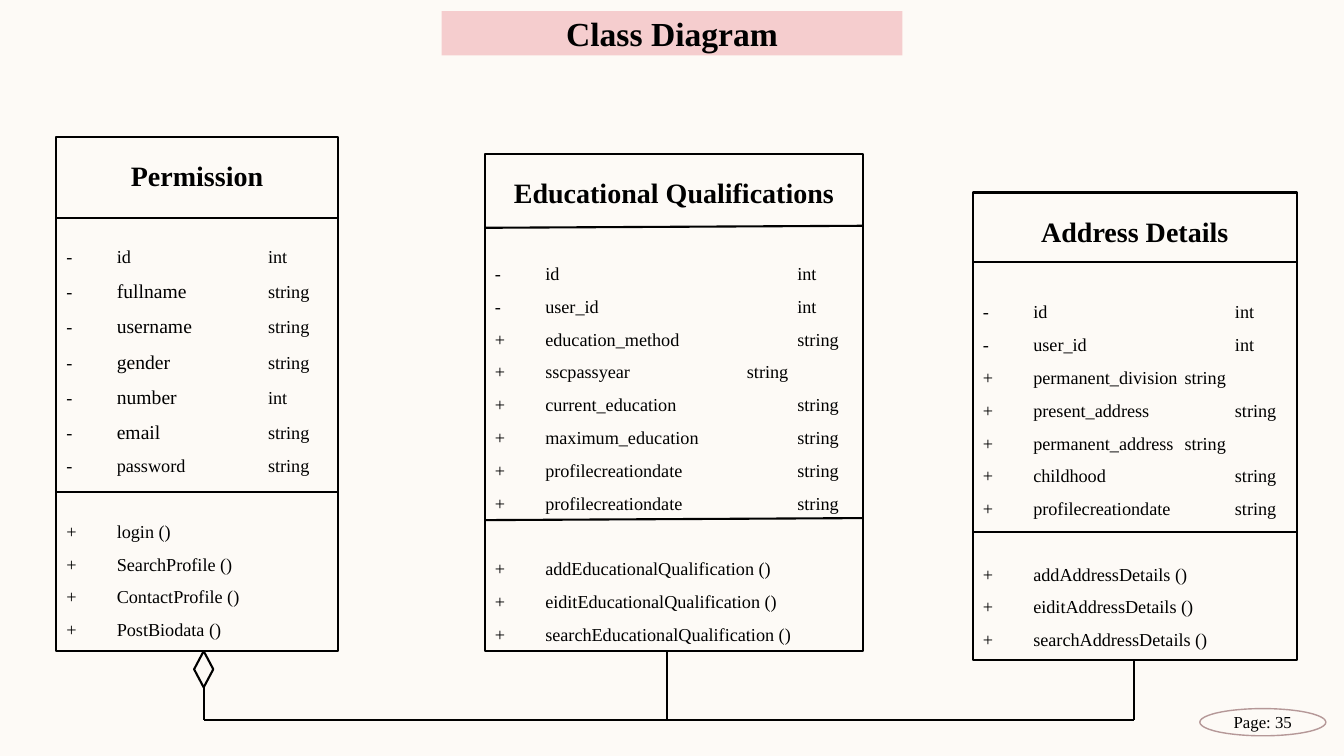
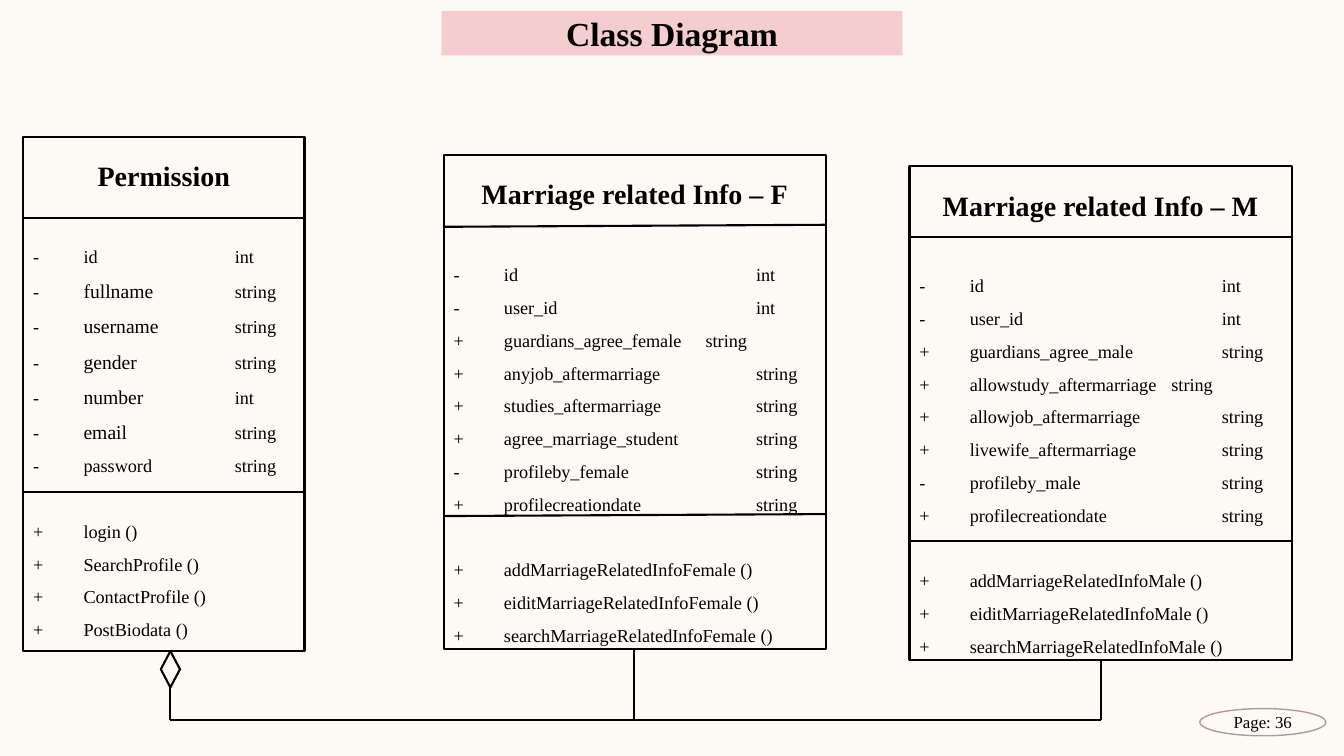
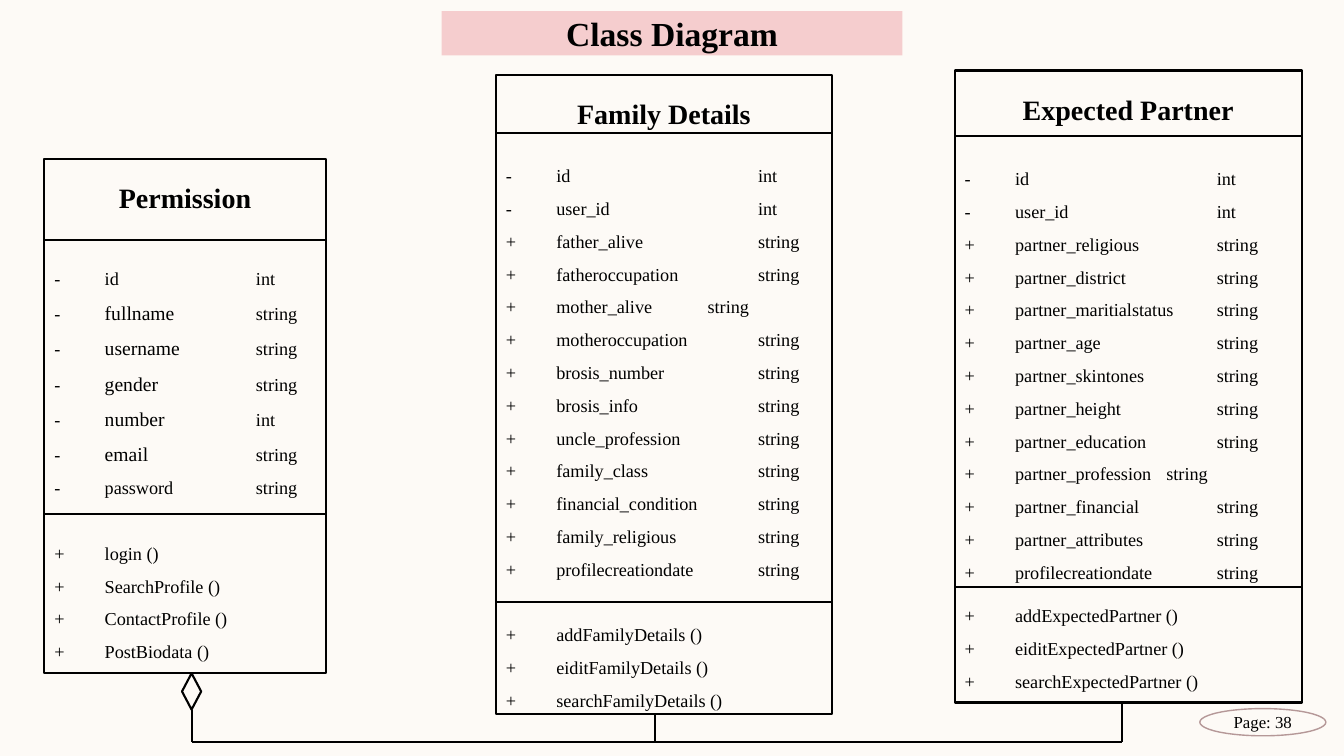
from dataclasses import dataclass

from lxml import etree
from pptx import Presentation
from pptx.dml.color import RGBColor
from pptx.enum.shapes import MSO_CONNECTOR as Connector, MSO_SHAPE as Preset
from pptx.enum.text import MSO_ANCHOR as Anchor, PP_ALIGN as Align
from pptx.oxml.ns import qn
from pptx.util import Inches, Pt


@dataclass(frozen=True)
class Theme:
    font: str = "Times New Roman"
    background: RGBColor = RGBColor(0xFD, 0xFA, 0xF6)
    band: RGBColor = RGBColor(0xF5, 0xCD, 0xCE)
    badge: RGBColor = RGBColor(0xB5, 0x98, 0x98)
    ink: RGBColor = RGBColor(0, 0, 0)
    title_size: int = 24
    heading_size: int = 20
    large_size: int = 14
    row_size: int = 13
    badge_size: int = 12
    leading: float = 1.8
    stroke: float = 1.5


THEME = Theme()
MARKER_TAB = 0.5
EARLY_SHIFT = 0.5
TRUNK_OFFSET = 1.46
BUS_DROP = 0.68
BRANCH_OFFSETS = (4.6, 9.23)
DIAMOND_WIDTH, DIAMOND_HEIGHT = 0.19, 0.36


@dataclass(frozen=True)
class ClassBox:
    name: str
    left: float
    top: float
    width: float
    height: float
    dividers: tuple
    type_tab: float
    fields: tuple
    methods: tuple
    early: tuple = ()
    large: tuple = ()
    slant: float = 0
    heading_gap: float = 30
    method_gap: float = 23.4

    @property
    def bottom(self):
        return self.top + self.height


def crud_methods(entity):
    return tuple(f"{verb}{entity}" for verb in ("add", "eidit", "search"))


def strings(*names):
    return tuple(f"+ {name} string" for name in names)


KEYS = ("- id int", "- user_id int")


def permission(left, top):
    return ClassBox(
        "Permission", left, top, 2.79, 5.1, (0.8, 3.52), 2,
        ("- id int", "- fullname string", "- username string", "- gender string",
         "- number int", "- email string", "- password string"),
        ("login", "SearchProfile", "ContactProfile", "PostBiodata"),
        large=("fullname", "username", "gender", "number", "email"))


EDUCATION = ClassBox(
    "Educational Qualifications", 4.81, 1.53, 3.75, 4.93, (0.73, 3.63), 3,
    KEYS + strings("education_method", "sscpassyear", "current_education",
                   "maximum_education", "profilecreationdate", "profilecreationdate"),
    crud_methods("EducationalQualification"), early=("sscpassyear",), slant=0.02)

ADDRESS = ClassBox(
    "Address Details", 9.65, 1.91, 3.21, 4.64, (0.69, 3.37), 2.5,
    KEYS + strings("permanent_division", "present_address", "permanent_address",
                   "childhood", "profilecreationdate"),
    crud_methods("AddressDetails"), early=("permanent_division", "permanent_address"))

MARRIAGE_FEMALE = ClassBox(
    "Marriage related Info – F", 4.4, 1.54, 3.79, 4.9, (0.71, 3.58), 3,
    KEYS + strings("guardians_agree_female", "anyjob_aftermarriage",
                   "studies_aftermarriage", "agree_marriage_student")
    + ("- profileby_female string",) + strings("profilecreationdate"),
    crud_methods("MarriageRelatedInfoFemale"), early=("guardians_agree_female",), slant=0.02)

MARRIAGE_MALE = ClassBox(
    "Marriage related Info – M", 9.02, 1.65, 3.79, 4.9, (0.7, 3.72), 3,
    KEYS + strings("guardians_agree_male", "allowstudy_aftermarriage",
                   "allowjob_aftermarriage", "livewife_aftermarriage")
    + ("- profileby_male string",) + strings("profilecreationdate"),
    crud_methods("MarriageRelatedInfoMale"), early=("allowstudy_aftermarriage",))

FAMILY = ClassBox(
    "Family Details", 4.92, 0.74, 3.33, 6.34, (0.58, 5.23), 2.5,
    KEYS + strings("father_alive", "fatheroccupation", "mother_alive", "motheroccupation",
                   "brosis_number", "brosis_info", "uncle_profession", "family_class",
                   "financial_condition", "family_religious", "profilecreationdate"),
    crud_methods("FamilyDetails"), early=("mother_alive",), heading_gap=17)

PARTNER = ClassBox(
    "Expected Partner", 9.47, 0.7, 3.44, 6.27, (0.65, 5.12), 2.5,
    KEYS + strings("partner_religious", "partner_district", "partner_maritialstatus",
                   "partner_age", "partner_skintones", "partner_height",
                   "partner_education", "partner_profession", "partner_financial",
                   "partner_attributes", "profilecreationdate"),
    crud_methods("ExpectedPartner"), early=("partner_profession",),
    heading_gap=22, method_gap=7.5)


def add_run(paragraph, text, size, bold=False):
    run = paragraph.add_run()
    run.text = text
    run.font.name = THEME.font
    run.font.size = Pt(size)
    run.font.bold = bold
    run.font.color.rgb = THEME.ink


def set_tabs(paragraph, positions):
    properties = paragraph._p.get_or_add_pPr()
    tab_list = etree.SubElement(properties, qn("a:tabLst"))
    for position in positions:
        etree.SubElement(tab_list, qn("a:tab"), pos=str(Inches(position)), algn="l")


def add_row(frame, pieces, tabs, gap):
    paragraph = frame.add_paragraph()
    paragraph.alignment = Align.LEFT
    paragraph.line_spacing = Pt(THEME.leading * max(size for _, size in pieces))
    paragraph.space_before = Pt(gap)
    set_tabs(paragraph, tabs)
    for text, size in pieces:
        add_run(paragraph, text, size)


def add_outline(slide, preset, left, top, width, height, color=THEME.ink, stroke=THEME.stroke):
    shape = slide.shapes.add_shape(
        preset, Inches(left), Inches(top), Inches(width), Inches(height))
    shape.shadow.inherit = False
    shape.fill.background()
    shape.line.color.rgb = color
    shape.line.width = Pt(stroke)
    return shape


def add_line(slide, start, end):
    line = slide.shapes.add_connector(
        Connector.STRAIGHT, *(Inches(value) for value in (*start, *end)))
    line.line.color.rgb = THEME.ink
    line.line.width = Pt(THEME.stroke)
    etree.SubElement(line._element.spPr, qn("a:effectLst"))


def add_class(slide, box):
    shape = add_outline(slide, Preset.RECTANGLE, box.left, box.top, box.width, box.height)
    frame = shape.text_frame
    frame.word_wrap = True
    frame.vertical_anchor = Anchor.TOP
    heading = frame.paragraphs[0]
    heading.alignment = Align.CENTER
    heading.line_spacing = Pt(THEME.leading * THEME.heading_size)
    add_run(heading, box.name, THEME.heading_size, bold=True)

    for index, field in enumerate(box.fields):
        marker, name, kind = field.split()
        size = THEME.large_size if name in box.large else THEME.row_size
        type_tab = box.type_tab - (EARLY_SHIFT if name in box.early else 0)
        pieces = ((f"{marker}\t", THEME.row_size), (name, size), (f"\t{kind}", THEME.row_size))
        add_row(frame, pieces, (MARKER_TAB, type_tab), 0 if index else box.heading_gap)
    for index, method in enumerate(box.methods):
        add_row(frame, ((f"+\t{method} ()", THEME.row_size),), (MARKER_TAB,),
                0 if index else box.method_gap)

    for offset in box.dividers:
        y = box.top + offset
        add_line(slide, (box.left, y), (box.left + box.width, y - box.slant))


def add_aggregation(slide, whole, parts):
    trunk = whole.left + TRUNK_OFFSET
    bus = whole.bottom + BUS_DROP
    add_outline(slide, Preset.FLOWCHART_DECISION, trunk - DIAMOND_WIDTH / 2, whole.bottom,
                DIAMOND_WIDTH, DIAMOND_HEIGHT)
    add_line(slide, (trunk, whole.bottom + DIAMOND_HEIGHT), (trunk, bus))
    add_line(slide, (trunk, bus), (trunk + BRANCH_OFFSETS[-1], bus))
    for part, offset in zip(parts, BRANCH_OFFSETS):
        add_line(slide, (trunk + offset, part.bottom), (trunk + offset, bus))


def fill_label(shape, text, size, bold=False):
    frame = shape.text_frame
    frame.word_wrap = True
    frame.vertical_anchor = Anchor.MIDDLE
    frame.margin_left = frame.margin_right = frame.margin_top = frame.margin_bottom = 0
    paragraph = frame.paragraphs[0]
    paragraph.alignment = Align.CENTER
    add_run(paragraph, text, size, bold)


def add_title(slide, text):
    title = slide.shapes.title
    title.left, title.top = Inches(4.38), Inches(0.11)
    title.width, title.height = Inches(4.57), Inches(0.44)
    title.fill.solid()
    title.fill.fore_color.rgb = THEME.band
    fill_label(title, text, THEME.title_size, bold=True)


def add_page_badge(slide, number):
    badge = add_outline(slide, Preset.OVAL, 11.9, 7.03, 1.25, 0.27, THEME.badge, 1)
    fill_label(badge, f"Page: {number}", THEME.badge_size)


def add_diagram(presentation, page, whole, parts):
    slide = presentation.slides.add_slide(presentation.slide_layouts[5])
    add_title(slide, "Class Diagram")
    for box in (whole, *parts):
        add_class(slide, box)
    add_aggregation(slide, whole, parts)
    add_page_badge(slide, page)


def main():
    presentation = Presentation()
    presentation.slide_width = Inches(13.33)
    presentation.slide_height = Inches(7.5)
    background = presentation.slide_master.background.fill
    background.solid()
    background.fore_color.rgb = THEME.background
    add_diagram(presentation, 35, permission(0.56, 1.36), (EDUCATION, ADDRESS))
    add_diagram(presentation, 36, permission(0.23, 1.36), (MARRIAGE_FEMALE, MARRIAGE_MALE))
    add_diagram(presentation, 38, permission(0.44, 1.58), (FAMILY, PARTNER))
    presentation.save("out.pptx")


if __name__ == "__main__":
    main()
